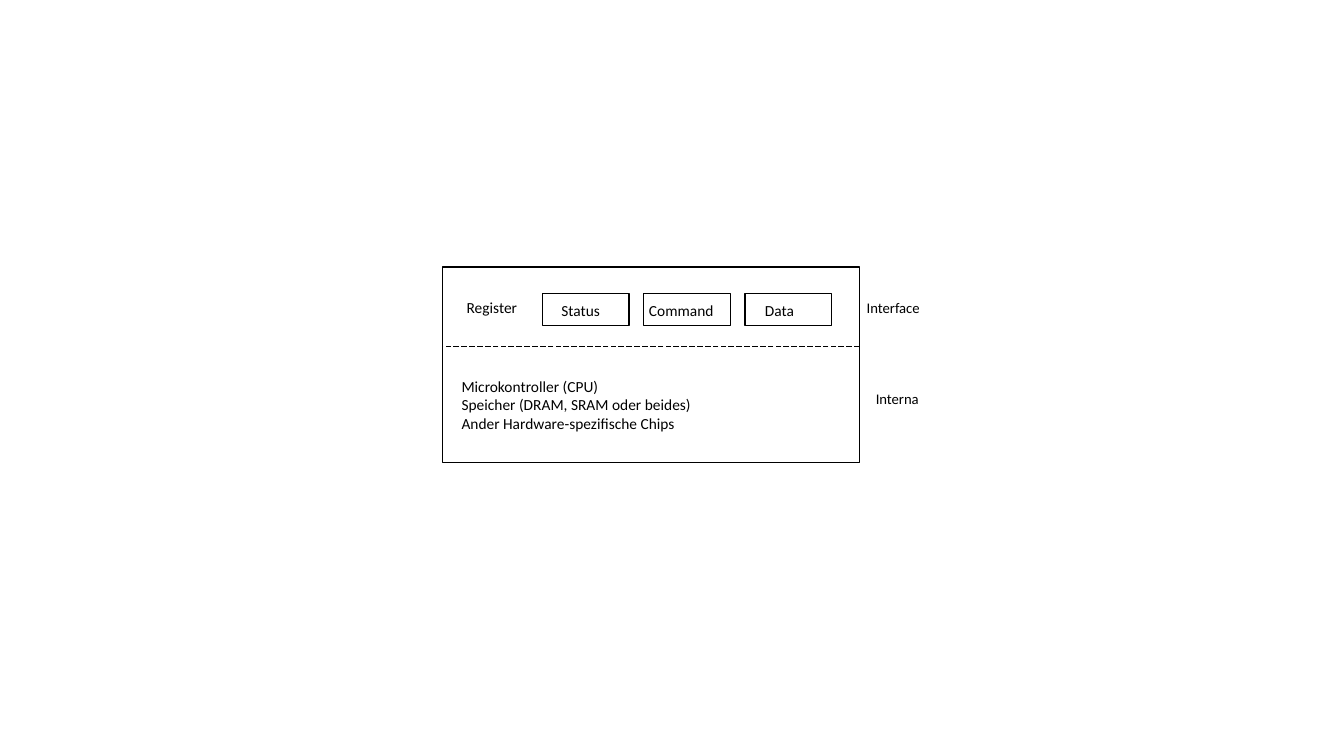
import dataclasses

import lxml.etree
import pptx
import pptx.dml.color
import pptx.enum.dml
import pptx.enum.shapes
import pptx.oxml.ns
import pptx.util

BLACK = pptx.dml.color.RGBColor(0x00, 0x00, 0x00)
WHITE = pptx.dml.color.RGBColor(0xFF, 0xFF, 0xFF)
FONT = "Calibri"

# Grid of square cells; all positions below are in columns and rows
CELL = pptx.util.Inches(0.1)
COLUMNS, ROWS = 133.33, 75


@dataclasses.dataclass(frozen=True)
class Area:
    column: float
    row: float
    columns: float
    rows: float

    def lengths(self) -> list[int]:
        return [cells(n) for n in (self.column, self.row, self.columns, self.rows)]


@dataclasses.dataclass(frozen=True)
class Label:
    text: str
    area: Area
    size: float = 11


def cells(count: float) -> int:
    return round(count * CELL)


def draw_box(slide, area: Area, filled: bool = False) -> None:
    box = slide.shapes.add_shape(pptx.enum.shapes.MSO_SHAPE.RECTANGLE, *area.lengths())
    box.shadow.inherit = False
    if filled:
        box.fill.solid()
        box.fill.fore_color.rgb = WHITE
    else:
        box.fill.background()
    box.line.color.rgb = BLACK
    box.line.width = pptx.util.Pt(1)


def draw_label(slide, label: Label) -> None:
    frame = slide.shapes.add_textbox(*label.area.lengths()).text_frame
    frame.word_wrap = True
    frame.text = label.text
    for paragraph in frame.paragraphs:
        paragraph.font.name = FONT
        paragraph.font.size = pptx.util.Pt(label.size)
        paragraph.font.color.rgb = BLACK


def draw_divider(slide, start: float, end: float, row: float) -> None:
    divider = slide.shapes.add_connector(
        pptx.enum.shapes.MSO_CONNECTOR.STRAIGHT,
        cells(start), cells(row), cells(end), cells(row))
    divider.line.color.rgb = BLACK
    divider.line.width = pptx.util.Pt(0.5)
    divider.line.dash_style = pptx.enum.dml.MSO_LINE.LONG_DASH
    lxml.etree.SubElement(divider.element.spPr, pptx.oxml.ns.qn("a:effectLst"))


DEVICE = Area(43.9, 26.5, 41.4, 19.4)
DIVIDER_ROW = 34.4

# Registers stand side by side at an equal pitch
REGISTER = Area(53.8, 29.1, 8.6, 3.2)
REGISTER_PITCH = 10.05
REGISTER_LABELS = [
    Label("Status", Area(54.7, 29.4, 7.3, 2.9)),
    Label("Command", Area(63.4, 29.4, 10.4, 2.9)),
    Label("Data", Area(74.9, 29.4, 6.1, 2.9)),
]

OTHER_LABELS = [
    Label("Register", Area(45.3, 29.1, 8.9, 2.9)),
    Label("Microkontroller (CPU)\n"
          "Speicher (DRAM, SRAM oder beides)\n"
          "Ander Hardware-spezifische Chips", Area(44.8, 36.9, 33.2, 6.6)),
    Label("Interface", Area(85, 29.2, 7.8, 2.8), 10.5),
    Label("Interna", Area(85.9, 38.2, 6.6, 2.8), 10.5),
]

presentation = pptx.Presentation()
presentation.slide_width = cells(COLUMNS)
presentation.slide_height = cells(ROWS)
slide = presentation.slides.add_slide(presentation.slide_layouts[6])

# Device with its interface above and its internals below the divider
draw_box(slide, DEVICE, filled=True)
draw_divider(slide, DEVICE.column + DEVICE.columns, DEVICE.column, DIVIDER_ROW)

# Registers
for index, register_label in enumerate(REGISTER_LABELS):
    column = REGISTER.column + index * REGISTER_PITCH
    draw_box(slide, dataclasses.replace(REGISTER, column=column))
    draw_label(slide, register_label)

# Captions
for caption in OTHER_LABELS:
    draw_label(slide, caption)

presentation.save("out.pptx")
